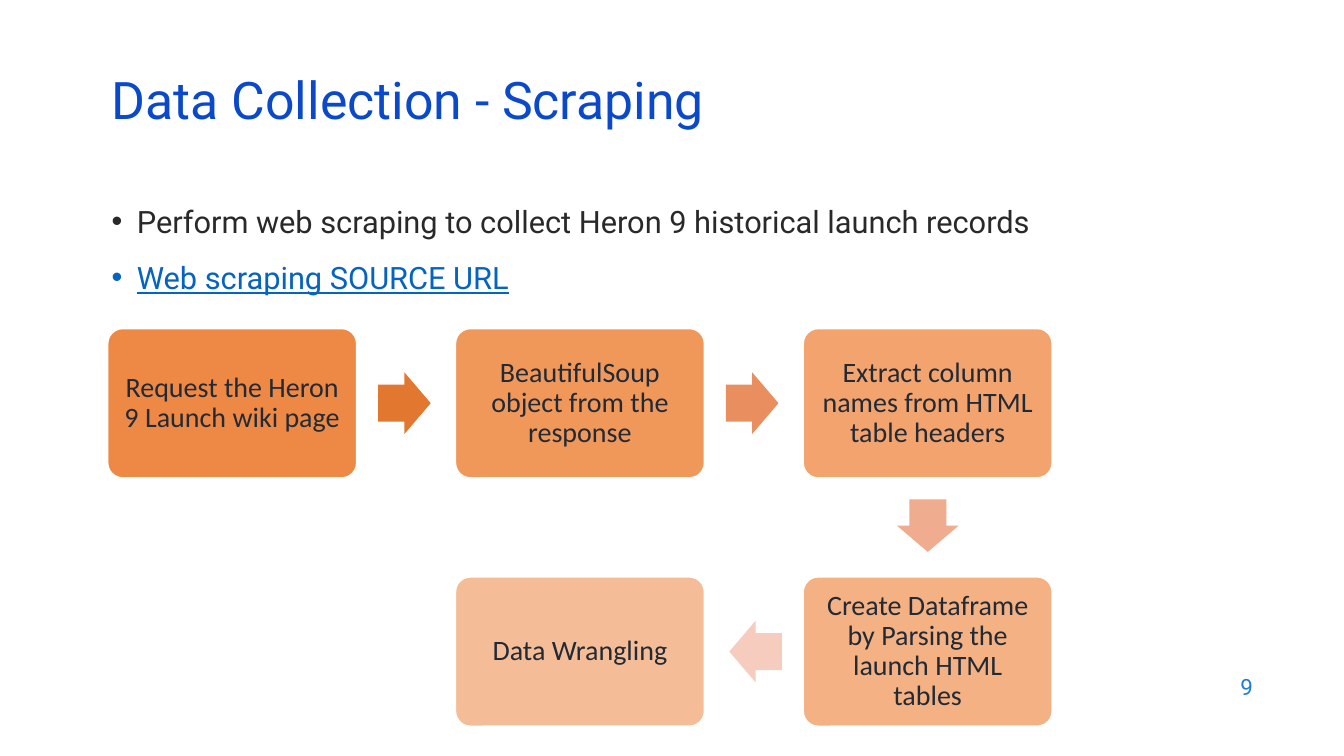
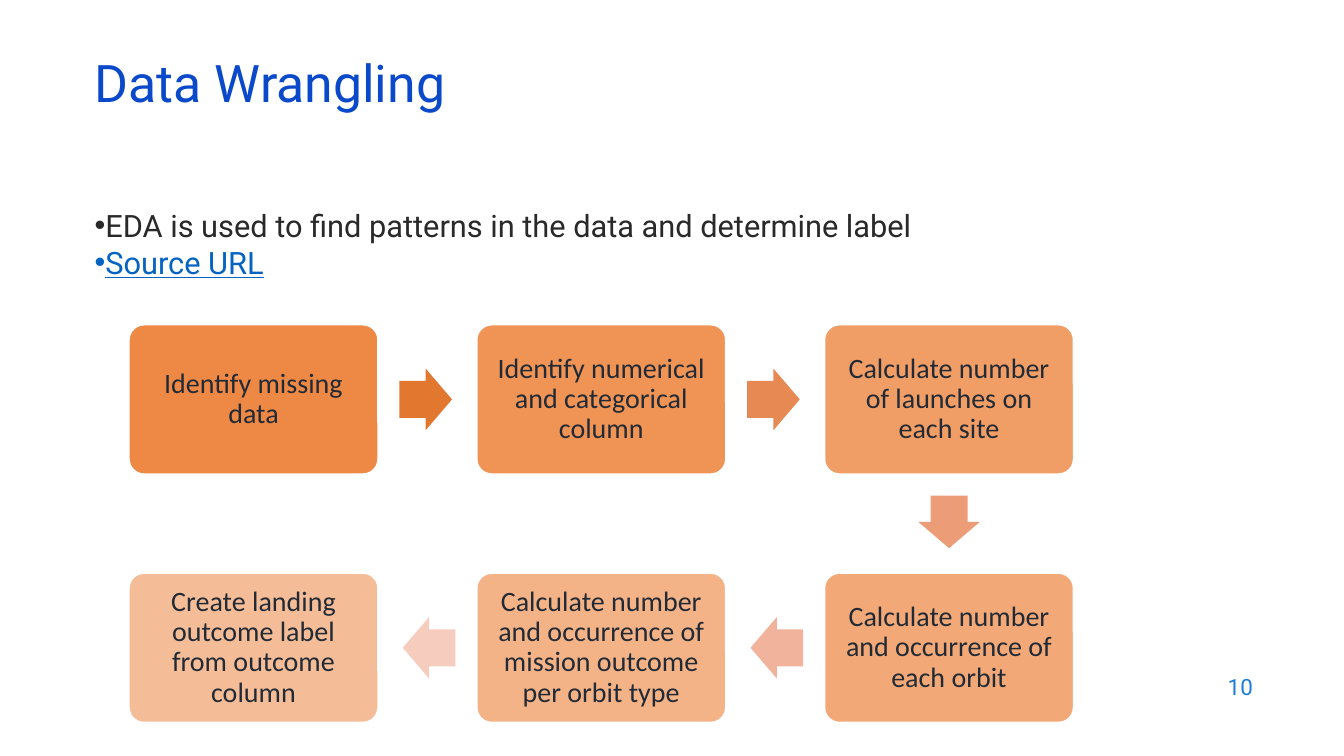
import pptx
import pptx.dml.color
import pptx.enum.shapes
import pptx.enum.text
import pptx.oxml
import pptx.oxml.ns
import pptx.util
from lxml import etree

Pt = pptx.util.Pt
RGBColor = pptx.dml.color.RGBColor
Shape = pptx.enum.shapes.MSO_SHAPE
Align = pptx.enum.text.PP_ALIGN
Anchor = pptx.enum.text.MSO_ANCHOR
AutoSize = pptx.enum.text.MSO_AUTO_SIZE

WHITE = RGBColor(0xFF, 0xFF, 0xFF)
TITLE_BLUE = RGBColor(0x0B, 0x49, 0xCB)
NUMBER_BLUE = RGBColor(0x1C, 0x7D, 0xDB)
LINK_BLUE = RGBColor(0x05, 0x63, 0xC1)
BODY_GREY = RGBColor(0x29, 0x29, 0x29)
STEP_INK = RGBColor(0x22, 0x2A, 0x35)
STEP_ORANGE = RGBColor(0xED, 0x7D, 0x31)
ARROW_FIRST = RGBColor(0xE2, 0x77, 0x2F)
ARROW_LAST = RGBColor(0xF6, 0xCC, 0xBF)
SCRAPING_ARROWS = [ARROW_FIRST, RGBColor(0xE9, 0x8F, 0x5F),
                   RGBColor(0xF0, 0xAC, 0x8F), ARROW_LAST]
WRANGLING_ARROWS = [ARROW_FIRST, RGBColor(0xE7, 0x89, 0x53),
                    RGBColor(0xEC, 0x9D, 0x77), RGBColor(0xF1, 0xB3, 0x9B),
                    ARROW_LAST]

TITLE_FONT = {"name": "Roboto", "size": Pt(37), "color": TITLE_BLUE}
NUMBER_FONT = {"name": "Roboto", "size": Pt(16), "color": NUMBER_BLUE}
BODY_FONT = {"name": "Roboto", "size": Pt(22), "color": BODY_GREY}
LINK_FONT = {**BODY_FONT, "color": LINK_BLUE, "underline": True}
STEP_FONT = {"name": "Calibri", "size": Pt(20), "color": STEP_INK}

COLUMNS = 3
STEP_WIDTH, STEP_HEIGHT = 177.8, 106.6
COLUMN_PITCH, ROW_PITCH = 248.4, 177.4
ARROW_WIDTH, ARROW_HEIGHT = 37.6, 44
ARROW_PULL = 1.2  # each arrow sits slightly nearer the step it leaves


def add_span(para, text, values):
    span = para.add_run()
    span.text = text
    for key, value in values.items():
        if key == "color":
            span.font.color.rgb = value
        else:
            setattr(span.font, key, value)


def place(shape, left, top, width, height):
    for key, value in {"left": left, "top": top, "width": width, "height": height}.items():
        setattr(shape, key, Pt(value))


def format_frame(frame, **values):
    for key, value in {"word_wrap": True, "auto_size": AutoSize.NONE, **values}.items():
        setattr(frame, key, value)


def add_title(page, text, left, top):
    title = page.shapes.title
    place(title, left, top, 828, 43.2)
    format_frame(title.text_frame, vertical_anchor=Anchor.MIDDLE)
    para = title.text_frame.paragraphs[0]
    para.alignment = Align.LEFT
    para.line_spacing = 0.7
    add_span(para, text, TITLE_FONT)


def add_page_number(page, number):
    box = page.shapes.add_textbox(Pt(686), Pt(474.5), Pt(216), Pt(31.7))
    format_frame(box.text_frame, vertical_anchor=Anchor.MIDDLE)
    para = box.text_frame.paragraphs[0]
    para.alignment = Align.RIGHT
    add_span(para, str(number), NUMBER_FONT)


def add_bullets(page, items, left, top, width, hang, gap):
    """Write (text, font) items as bullets with a hanging indent and a gap between."""
    box = page.shapes.add_textbox(Pt(left), Pt(top), Pt(width), Pt(80))
    format_frame(box.text_frame)
    for index, (text, font) in enumerate(items):
        para = box.text_frame.add_paragraph() if index else box.text_frame.paragraphs[0]
        properties = para._p.get_or_add_pPr()
        properties.set("marL", str(Pt(hang)))
        properties.set("indent", str(-Pt(hang)))
        for tag, key, value in (("a:buFont", "typeface", "Arial"), ("a:buChar", "char", "•")):
            etree.SubElement(properties, pptx.oxml.ns.qn(tag)).set(key, value)
        para.space_before = Pt(gap if index else 0)
        add_span(para, text, font)


def add_plain_shape(page, kind, left, top, width, height, fill):
    shape = page.shapes.add_shape(kind, Pt(left), Pt(top), Pt(width), Pt(height))
    shape.shadow.inherit = False
    shape.fill.solid()
    shape.fill.fore_color.rgb = fill
    shape.line.fill.background()
    return shape


def add_step(page, text, left, top, opacity):
    step = add_plain_shape(page, Shape.ROUNDED_RECTANGLE, left, top,
                           STEP_WIDTH, STEP_HEIGHT, STEP_ORANGE)
    step.adjustments[0] = 0.1
    step.line.color.rgb = WHITE
    step.line.width = Pt(1)
    color = step._element.spPr.find(".//" + pptx.oxml.ns.qn("a:srgbClr"))
    alpha = etree.SubElement(color, pptx.oxml.ns.qn("a:alpha"))
    alpha.set("val", str(round(opacity * 1000)))
    inset = Pt(5.8)
    format_frame(step.text_frame, vertical_anchor=Anchor.MIDDLE, margin_left=inset,
                 margin_right=inset, margin_top=inset, margin_bottom=inset)
    para = step.text_frame.paragraphs[0]
    para.alignment = Align.CENTER
    para.line_spacing = 0.9
    add_span(para, text, STEP_FONT)


def add_arrow(page, start, end, fill):
    """Draw a block arrow between the step corners start and end."""
    across, down = end[0] - start[0], end[1] - start[1]
    rotation = 90 if down else 0 if across > 0 else 180
    distance = abs(across) + abs(down)
    share = 0.5 - ARROW_PULL / distance
    center_x = start[0] + STEP_WIDTH / 2 + across * share
    center_y = start[1] + STEP_HEIGHT / 2 + down * share
    arrow = add_plain_shape(page, Shape.RIGHT_ARROW, center_x - ARROW_WIDTH / 2,
                            center_y - ARROW_HEIGHT / 2, ARROW_WIDTH, ARROW_HEIGHT, fill)
    arrow.adjustments[0] = 0.6
    arrow.adjustments[1] = 0.5
    arrow.rotation = rotation


def add_flow(page, steps, arrow_fills, left, top):
    """Lay steps out in a snake: left to right, then back right to left."""
    corners = []
    for index, text in enumerate(steps):
        row, column = divmod(index, COLUMNS)
        if row % 2:
            column = COLUMNS - 1 - column
        corners.append((left + column * COLUMN_PITCH, top + row * ROW_PITCH))
        add_step(page, text, *corners[-1], 90 - 40 * index / (len(steps) - 1))
    for start, end, fill in zip(corners, corners[1:], arrow_fills):
        add_arrow(page, start, end, fill)


def add_process_page(deck, number, title, bullets, flow):
    page = deck.slides.add_slide(deck.slide_layouts[5])
    add_page_number(page, number)
    add_title(page, **title)
    add_bullets(page, **bullets)
    add_flow(page, **flow)


def main():
    deck = pptx.Presentation()
    deck.slide_width, deck.slide_height = Pt(960), Pt(540)
    add_process_page(
        deck, 9,
        title={"text": "Data Collection - Scraping", "left": 72.7, "top": 54.7},
        bullets={
            "items": [
                ("Perform web scraping to collect Heron 9 historical launch records", BODY_FONT),
                ("Web scraping SOURCE URL", LINK_FONT),
            ],
            "left": 72.7, "top": 141, "width": 786, "hang": 18, "gap": 14,
        },
        flow={
            "steps": [
                "Request the Heron 9 Launch wiki page",
                "BeautifulSoup object from the response",
                "Extract column names from HTML table headers",
                "Create Dataframe by Parsing the launch HTML tables",
                "Data Wrangling",
            ],
            "arrow_fills": SCRAPING_ARROWS, "left": 77, "top": 234.7,
        },
    )
    add_process_page(
        deck, 10,
        title={"text": "Data Wrangling", "left": 60.5, "top": 42.5},
        bullets={
            "items": [
                ("EDA is used to find patterns in the data and determine label", BODY_FONT),
                ("Source URL", LINK_FONT),
            ],
            "left": 60.5, "top": 144, "width": 707, "hang": 0, "gap": 0,
        },
        flow={
            "steps": [
                "Identify missing data",
                "Identify numerical and categorical column",
                "Calculate number of launches on each site",
                "Calculate number and occurrence of each orbit",
                "Calculate number and occurrence of mission outcome per orbit type",
                "Create landing outcome label from outcome column",
            ],
            "arrow_fills": WRANGLING_ARROWS, "left": 92.2, "top": 232,
        },
    )
    deck.save("out.pptx")


if __name__ == "__main__":
    main()
